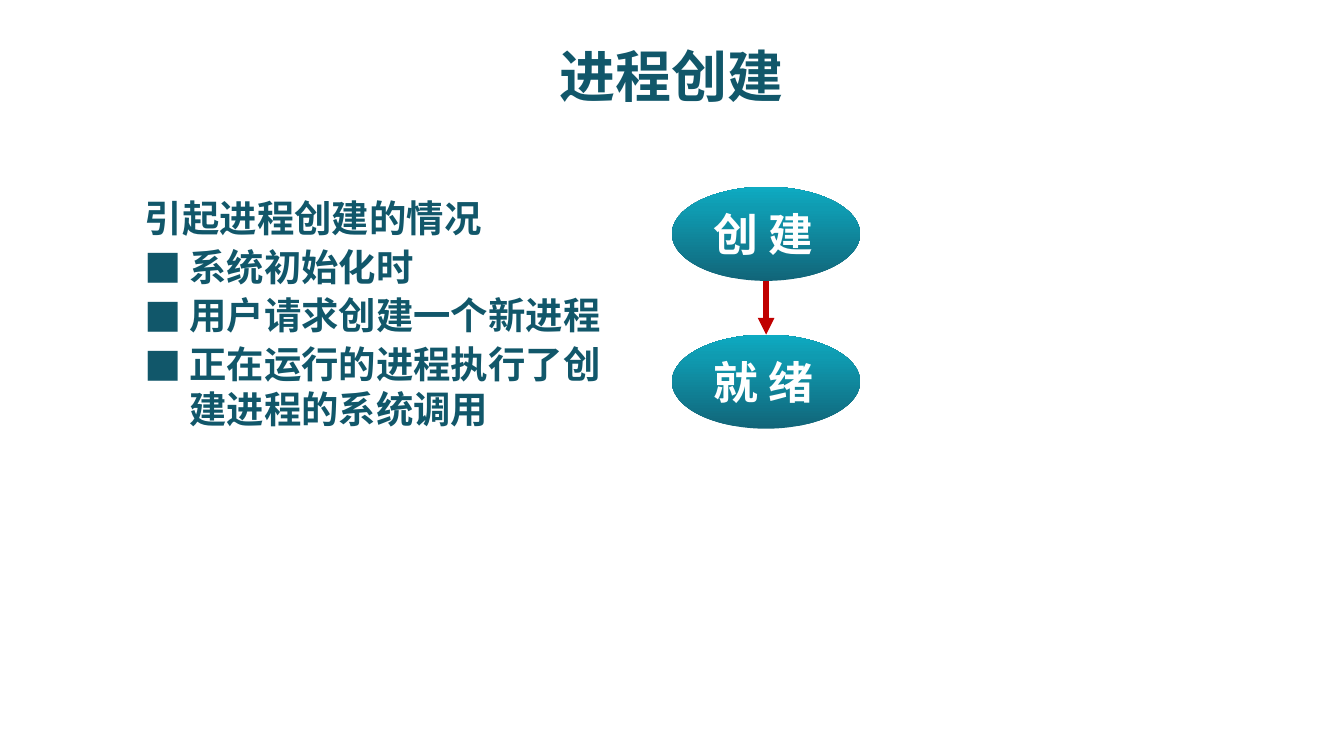
from dataclasses import dataclass

from pptx import Presentation
from pptx.dml.color import RGBColor
from pptx.enum.shapes import MSO_CONNECTOR, MSO_SHAPE
from pptx.enum.text import MSO_ANCHOR, PP_ALIGN
from pptx.oxml.ns import qn
from pptx.shapes.autoshape import Shape
from pptx.slide import Slide
from pptx.text.text import TextFrame, _Paragraph
from pptx.util import Inches, Pt
from lxml.etree import SubElement

COLORS = {
    "teal": "11576A",
    "white": "FFFFFF",
    "arrow": "C00000",
    "state_bottom": "116579",
    "state_middle": "0F9BB1",
    "state_top": "0EABC2",
}
STATE_STOPS = ((0, "state_bottom"), (77, "state_middle"), (100, "state_top"))
TEXT_FONT = "Noto Sans CJK SC"
BULLET_FONT = "Noto Sans CJK JP"
HANGING = Inches(0.33)

HEADING = "引起进程创建的情况"
CAUSES = (
    "系统初始化时",
    "用户请求创建一个新进程",
    "正在运行的进程执行了创建进程的系统调用",
)


@dataclass(frozen=True)
class State:
    label: str
    top: float
    left: float = 5.0
    width: float = 1.4
    height: float = 0.7


CREATED = State("创 建", 1.39)
READY = State("就 绪", 2.49)


def write(paragraph: _Paragraph, text: str, *, size: float, color: str = "teal",
          align: PP_ALIGN = PP_ALIGN.LEFT, space_before: float = 0) -> None:
    paragraph.alignment = align
    paragraph.space_before = Pt(space_before)
    run = paragraph.add_run()
    run.text = text
    run.font.size = Pt(size)
    run.font.bold = True
    run.font.name = TEXT_FONT
    run.font.color.rgb = RGBColor.from_string(COLORS[color])
    SubElement(run.font._element, qn("a:ea"), typeface=TEXT_FONT)


def add_bullet(paragraph: _Paragraph) -> None:
    properties = paragraph._p.get_or_add_pPr()
    properties.set("marL", str(HANGING))
    properties.set("indent", str(-HANGING))
    SubElement(properties, qn("a:buFont"), typeface=BULLET_FONT)
    SubElement(properties, qn("a:buChar"), char="■")


def set_margins(frame: TextFrame, left: float, right: float, vertical: float) -> None:
    frame.margin_left, frame.margin_right = Inches(left), Inches(right)
    frame.margin_top = frame.margin_bottom = Inches(vertical)


def add_title(slide: Slide, text: str) -> None:
    title = slide.shapes.title
    title.left, title.top = Inches(0.75), Inches(0.1)
    title.width, title.height = Inches(8.5), Inches(0.92)
    title.text_frame.vertical_anchor = MSO_ANCHOR.MIDDLE
    write(title.text_frame.paragraphs[0], text, size=30, align=PP_ALIGN.CENTER)


def add_causes(slide: Slide) -> None:
    causes = slide.shapes.add_textbox(Inches(0.98), Inches(1.4), Inches(3.65), Inches(1.87))
    frame = causes.text_frame
    frame.word_wrap = True
    set_margins(frame, 0.1, 0.1, 0.05)
    write(frame.paragraphs[0], HEADING, size=20)
    for cause in CAUSES:
        item = frame.add_paragraph()
        add_bullet(item)
        write(item, cause, size=20, space_before=2.2)


def fill_gradient(shape: Shape) -> None:
    shape.fill.gradient()
    shape.fill.gradient_angle = 90
    stops = shape._element.spPr.find(".//" + qn("a:gsLst"))
    for stop in list(stops):
        stops.remove(stop)
    for percent, color in STATE_STOPS:
        stop = SubElement(stops, qn("a:gs"), pos=str(percent * 1000))
        SubElement(stop, qn("a:srgbClr"), val=COLORS[color])


def add_state(slide: Slide, state: State) -> Shape:
    ellipse = slide.shapes.add_shape(
        MSO_SHAPE.OVAL, Inches(state.left), Inches(state.top),
        Inches(state.width), Inches(state.height))
    ellipse.shadow.inherit = False
    fill_gradient(ellipse)
    ellipse.line.fill.background()
    frame = ellipse.text_frame
    frame.word_wrap = False
    frame.vertical_anchor = MSO_ANCHOR.MIDDLE
    set_margins(frame, 0, 0.04, 0)
    write(frame.paragraphs[0], state.label, size=24, color="white", align=PP_ALIGN.CENTER)
    return ellipse


def add_transition(slide: Slide, source: Shape, target: Shape) -> None:
    center = source.left + source.width // 2
    arrow = slide.shapes.add_connector(
        MSO_CONNECTOR.STRAIGHT, center, source.top + source.height, center, target.top)
    arrow.end_connect(target, 0)
    arrow.line.color.rgb = RGBColor.from_string(COLORS["arrow"])
    arrow.line.width = Pt(3)
    SubElement(arrow.line._get_or_add_ln(), qn("a:tailEnd"), type="triangle")
    SubElement(arrow._element.spPr, qn("a:effectLst"))


def main() -> None:
    presentation = Presentation()
    presentation.slide_width = Inches(10)
    presentation.slide_height = presentation.slide_width * 9 // 16
    slide = presentation.slides.add_slide(presentation.slide_layouts[5])
    add_title(slide, "进程创建")
    add_causes(slide)
    created, ready = (add_state(slide, state) for state in (CREATED, READY))
    add_transition(slide, created, ready)
    presentation.save("out.pptx")


if __name__ == "__main__":
    main()
